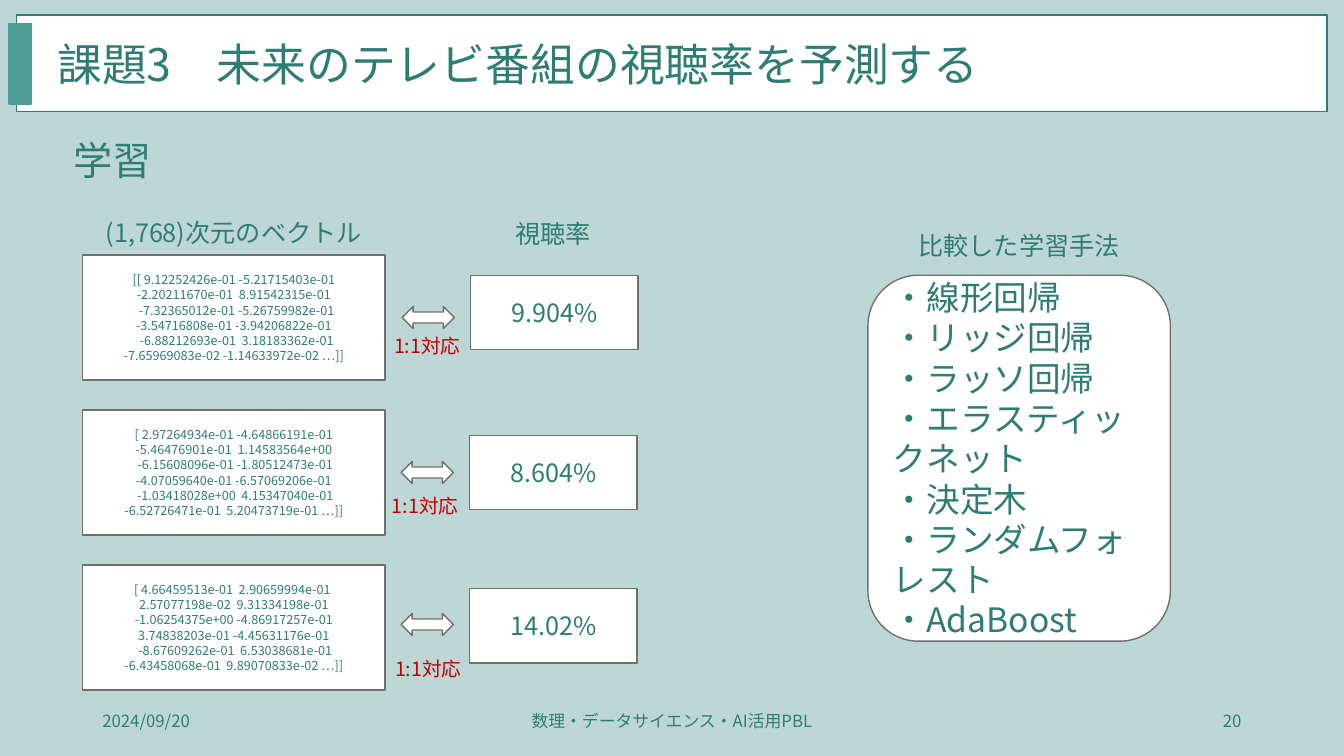
from lxml.etree import SubElement
from pptx import Presentation
from pptx.dml.color import RGBColor as Color
from pptx.enum.shapes import MSO_SHAPE as Kind
from pptx.enum.text import MSO_ANCHOR as Anchor, MSO_AUTO_SIZE as Fit, PP_ALIGN as Align
from pptx.oxml.ns import qn
from pptx.util import Pt

FONT = "Noto Sans CJK JP"
HUES = {"back": "BDD7D6", "white": "FFFFFF", "teal": "2F7C75",
        "mark": "4B9D96", "edge": "707070", "red": "C00000"}
VECTORS = [
    "[[ 9.12252426e-01 -5.21715403e-01 -2.20211670e-01  8.91542315e-01\n"
    "  -7.32365012e-01 -5.26759982e-01 -3.54716808e-01 -3.94206822e-01\n"
    "  -6.88212693e-01  3.18183362e-01 -7.65969083e-02 -1.14633972e-02 …]]",
    "[ 2.97264934e-01 -4.64866191e-01 -5.46476901e-01  1.14583564e+00\n"
    " -6.15608096e-01 -1.80512473e-01 -4.07059640e-01 -6.57069206e-01\n"
    " -1.03418028e+00  4.15347040e-01 -6.52726471e-01  5.20473719e-01 …]]",
    "[ 4.66459513e-01  2.90659994e-01  2.57077198e-02  9.31334198e-01\n"
    " -1.06254375e+00 -4.86917257e-01  3.74838203e-01 -4.45631176e-01\n"
    " -8.67609262e-01  6.53038681e-01 -6.43458068e-01  9.89070833e-02 …]]",
]
RATES = ["9.904%", "8.604%", "14.02%"]
METHODS = ["線形回帰", "リッジ回帰", "ラッソ回帰", "エラスティックネット",
           "決定木", "ランダムフォレスト", "AdaBoost"]


def write(shape, text, size=18, hue="teal", align=Align.CENTER, anchor=Anchor.MIDDLE):
    """Fill a shape with formatted text, one paragraph per line."""
    frame = shape.text_frame
    frame.word_wrap, frame.auto_size = True, Fit.NONE
    frame.vertical_anchor = anchor
    for i, line in enumerate(text.split("\n")):
        para = frame.paragraphs[0] if i == 0 else frame.add_paragraph()
        para.alignment = align
        para.space_before = Pt(0)
        run = para.add_run()
        run.text = line
        font = run.font
        font.name, font.size = FONT, Pt(size)
        font.color.rgb = Color.from_string(HUES[hue])
        SubElement(font._element, qn("a:ea"), typeface=FONT)


def place(shape, x, y, w, h):
    """Move a placeholder to a box and bring it to the front."""
    shape.left, shape.top, shape.width, shape.height = map(Pt, (x, y, w, h))
    shape.element.getparent().append(shape.element)


def label(slide, text, x, y, w, h, **form):
    """Add a text box."""
    write(slide.shapes.add_textbox(Pt(x), Pt(y), Pt(w), Pt(h)), text, **form)


def panel(slide, kind, x, y, w, h, fill="white", line="edge"):
    """Add a filled and outlined shape."""
    shape = slide.shapes.add_shape(kind, Pt(x), Pt(y), Pt(w), Pt(h))
    shape.shadow.inherit = False
    shape.fill.solid()
    shape.fill.fore_color.rgb = Color.from_string(HUES[fill])
    shape.line.color.rgb = Color.from_string(HUES[line])
    shape.line.width = Pt(1)
    return shape


def header(slide, x, y, w, h):
    """Draw the title band with its side mark."""
    panel(slide, Kind.RECTANGLE, x, y, w, h, line="teal")
    panel(slide, Kind.RECTANGLE, x - 5.7, y + 5.8, 15.8, 57.6, fill="mark", line="mark")
    title = slide.shapes.title
    place(title, x + 21.7, y + 11.5, w - 33, 46)
    write(title, "課題3　未来のテレビ番組の視聴率を予測する", size=32,
          align=Align.LEFT, anchor=Anchor.TOP)


def match(slide, vector, rate, x, y, w, h, drop, lift, note, shift):
    """Draw one vector, its arrow and its rating."""
    write(panel(slide, Kind.RECTANGLE, x, y, 216, h), vector, size=9)
    panel(slide, Kind.LEFT_RIGHT_ARROW, x + 227.5 + shift, y + lift, 37.4, 15.8)
    label(slide, "1:1対応", x + note[0], y + note[1], 93.6, 24.5,
          size=14, hue="red", anchor=Anchor.TOP)
    write(panel(slide, Kind.RECTANGLE, x + w - 119.5, y + drop, 119.5, 53.3), rate)


def pairs(slide, x, y, w, h):
    """Stack the three vector and rating pairs under their headings."""
    label(slide, "(1,768)次元のベクトル", x + 7.2, y, 201.6, 28.8, anchor=Anchor.TOP)
    label(slide, "視聴率", x + w - 119.5, y + 0.7, 119.5, 28.8, anchor=Anchor.TOP)
    tall, gap = 89.3, 21.4
    drops, lifts, shifts = (14.4, 18, 16.6), (36.7, 36.7, 34.6), (0.7, 0, 0)
    notes = [(199.5, 52.6), (198, 56.2), (200.2, 61.9)]
    rows = zip(VECTORS, RATES, drops, lifts, notes, shifts)
    for i, (vector, rate, drop, lift, note, shift) in enumerate(rows):
        match(slide, vector, rate, x, y + 30.2 + i * (tall + gap), w + shift,
              tall, drop, lift, note, shift)


def methods(slide, x, y, w, h):
    """List the learning methods in a rounded panel."""
    label(slide, "比較した学習手法", x + 7.2, y, w - 14.4, 28.8, anchor=Anchor.TOP)
    panel(slide, Kind.ROUNDED_RECTANGLE, x, y + 35.3, w, h - 35.3)
    body = slide.placeholders[1]
    place(body, x + 10.6, y + 35.3, w - 21.2, h - 35.3)
    write(body, "\n".join("・" + name for name in METHODS), size=24, align=Align.LEFT)
    for para in body.text_frame.paragraphs:
        form = para._p.get_or_add_pPr()
        form.set("marL", "0")
        form.set("indent", "0")
        SubElement(form, qn("a:buNone"))


def footer(slide, x, y, w, h):
    """Write the date, course name and page number."""
    label(slide, "2024/09/20", x, y, 216, h, size=12, align=Align.LEFT)
    label(slide, "数理・データサイエンス・AI活用PBL", x + (w - 324) / 2, y, 324, h, size=12)
    label(slide, "20", x + w - 216, y, 216, h, size=12, align=Align.RIGHT)


def main():
    """Build and save the slide."""
    deck = Presentation()
    deck.slide_width, deck.slide_height = Pt(960), Pt(540)
    slide = deck.slides.add_slide(deck.slide_layouts[1])
    fill = slide.background.fill
    fill.solid()
    fill.fore_color.rgb = Color.from_string(HUES["back"])
    header(slide, 12, 10.8, 936, 69)
    label(slide, "学習", 45.4, 93.6, 480, 41, size=28, align=Align.LEFT, anchor=Anchor.TOP)
    pairs(slide, 59, 152, 396, 342)
    methods(slide, 620, 161.3, 216, 296.7)
    footer(slide, 66, 500.5, 828, 28.8)
    deck.save("out.pptx")


if __name__ == "__main__":
    main()
